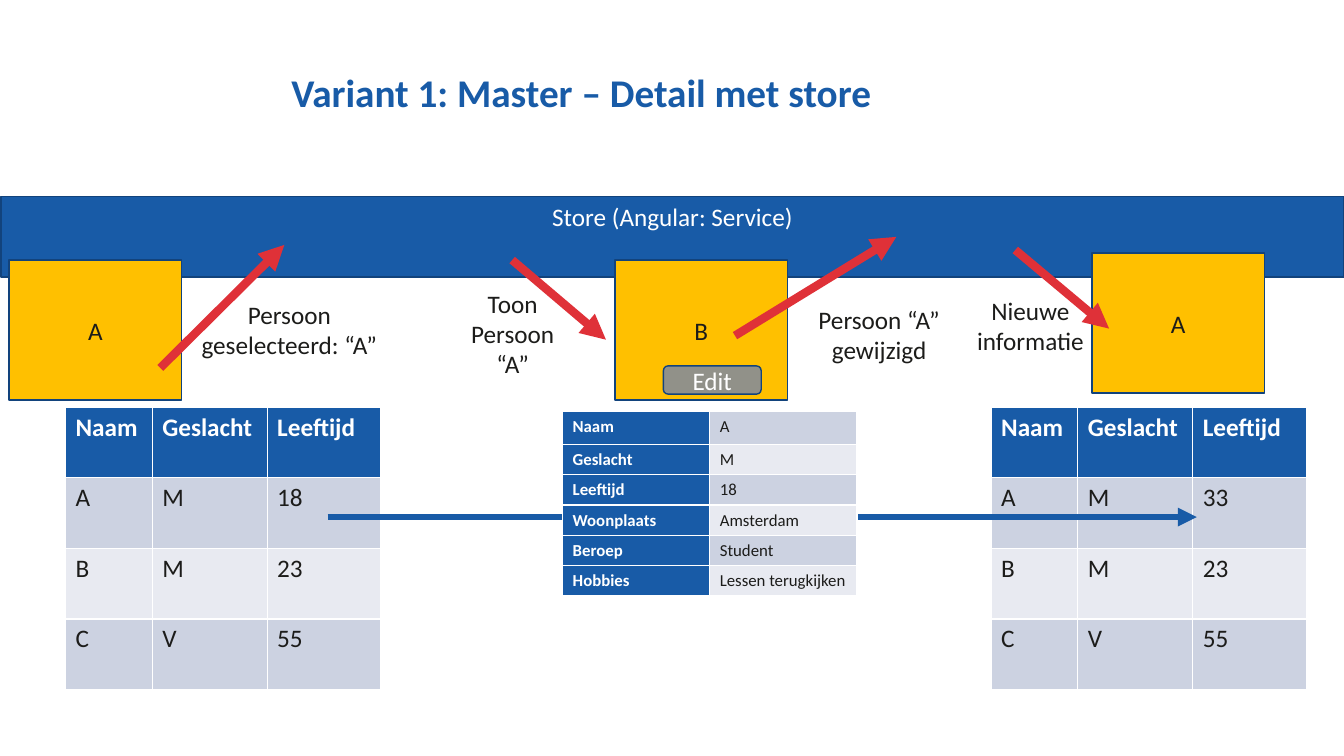
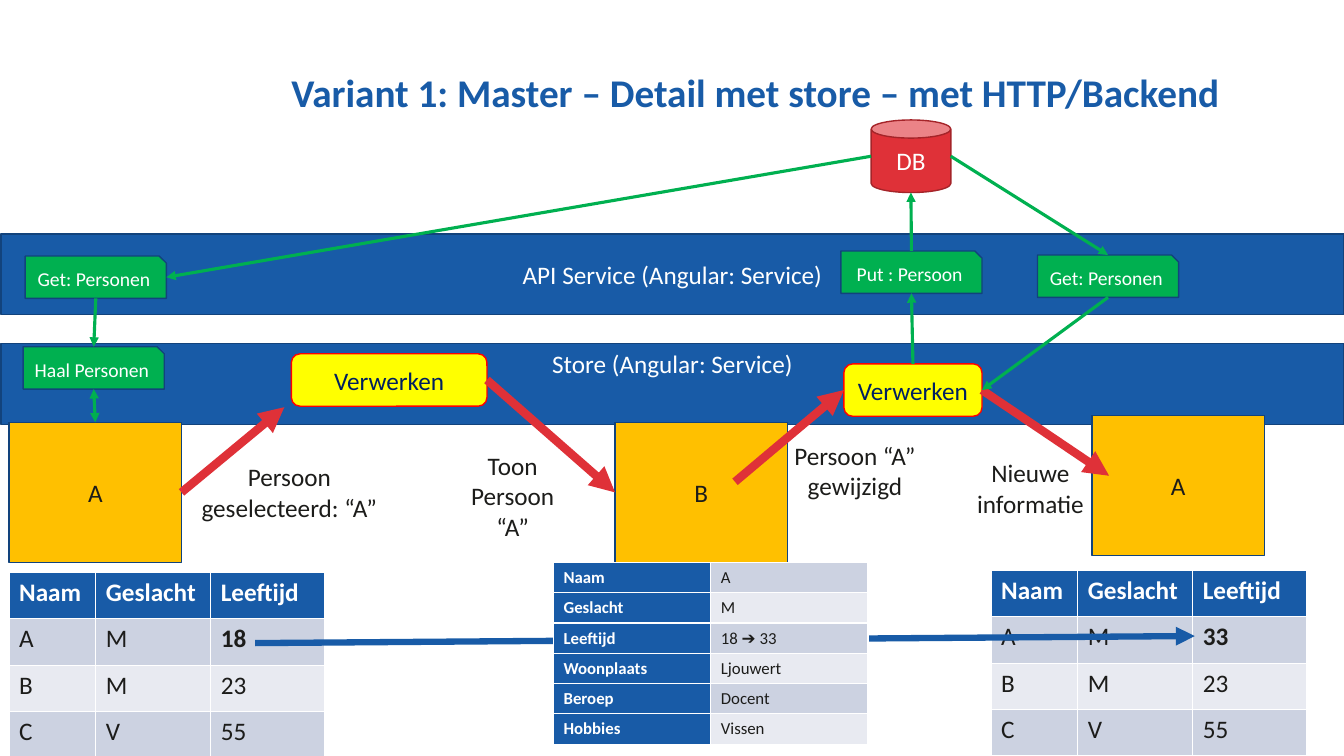
from lxml import etree
from pptx import Presentation
from pptx.dml.color import RGBColor
from pptx.enum.shapes import MSO_CONNECTOR, MSO_SHAPE
from pptx.enum.text import MSO_ANCHOR, MSO_AUTO_SIZE, PP_ALIGN
from pptx.oxml.ns import qn
from pptx.util import Inches, Pt

RECTANGLE, ROUNDED = MSO_SHAPE.RECTANGLE, MSO_SHAPE.ROUNDED_RECTANGLE
SNIPPED, CAN = MSO_SHAPE.SNIP_1_RECTANGLE, MSO_SHAPE.CAN
STRAIGHT = MSO_CONNECTOR.STRAIGHT
TOP_ANCHOR, MIDDLE_ANCHOR = MSO_ANCHOR.TOP, MSO_ANCHOR.MIDDLE
LEFT_ALIGN, CENTER_ALIGN = PP_ALIGN.LEFT, PP_ALIGN.CENTER
NO_AUTOFIT = MSO_AUTO_SIZE.NONE
TOP, LEFT, BOTTOM, RIGHT = range(4)

FONT = "Calibri"
BLUE, NAVY, WHITE, INK = "185BA7", "12437C", "FFFFFF", "1C1C1A"
AMBER, RED, DARK_RED, GREEN = "FFC000", "DF3138", "A52429", "00B050"
GRAY, YELLOW, PURE_RED, MIDNIGHT = "919189", "FFFF00", "FF0000", "002060"
BANDS = ("CCD2E1", "E8EAF1")

SLIDE_WIDTH, SLIDE_HEIGHT = 13.33, 7.5
BAND_HEIGHT = 0.8
COMPONENT_SIZE = (1.71, 1.39)
REQUEST_SIZE = (1.4, 0.42)
PERSON_COLUMNS = (0.86, 1.14, 1.13)
PERSON_HEADER = ("Naam", "Geslacht", "Leeftijd")
DETAIL_FIELDS = ("Naam", "Geslacht", "Leeftijd", "Woonplaats", "Beroep", "Hobbies")


def color(value):
    """Turn a hex string into a colour."""
    return RGBColor.from_string(value)


def add_text(frame, text, size=18, ink=INK, bold=False, align=LEFT_ALIGN):
    """Write one formatted run into the first paragraph of a text frame."""
    paragraph = frame.paragraphs[0]
    paragraph.alignment = align
    run = paragraph.add_run()
    run.text = text
    run.font.name, run.font.size, run.font.bold = FONT, Pt(size), bold
    run.font.color.rgb = color(ink)
    return paragraph


def add_box(slide, kind, box, text, fill, ink=WHITE, outline=NAVY, size=18,
            anchor=MIDDLE_ANCHOR):
    """Add a filled and outlined shape with centred text."""
    shape = slide.shapes.add_shape(kind, *map(Inches, box))
    shape.shadow.inherit = False
    shape.fill.solid()
    shape.fill.fore_color.rgb = color(fill)
    shape.line.color.rgb = color(outline)
    shape.line.width = Pt(1)
    shape.text_frame.word_wrap = True
    shape.text_frame.vertical_anchor = anchor
    add_text(shape.text_frame, text, size, ink, align=CENTER_ALIGN)
    return shape


def add_label(slide, box, text):
    """Add a centred, wrapping caption."""
    frame = slide.shapes.add_textbox(*map(Inches, box)).text_frame
    frame.word_wrap = True
    add_text(frame, text, align=CENTER_ALIGN)


def side_point(shape, side):
    """Return the middle of one side of a shape."""
    across = {LEFT: 0, RIGHT: 1}.get(side, 0.5)
    down = {TOP: 0, BOTTOM: 1}.get(side, 0.5)
    return (int(shape.left + across * shape.width),
            int(shape.top + down * shape.height))


def end_point(end):
    """Resolve a point in inches or a (shape, side) pair to a position."""
    if isinstance(end[0], (int, float)):
        return tuple(map(Inches, end))
    return side_point(*end)


def can_join(end):
    """Tell whether an arrow end sits on a side of a rectangle."""
    return (not isinstance(end[0], (int, float))
            and end[0].auto_shape_type in (RECTANGLE, ROUNDED))


def add_arrow(slide, start, end, ink, width, both_ends=False):
    """Draw an arrow between points or sides of shapes."""
    connector = slide.shapes.add_connector(
        STRAIGHT, *end_point(start), *end_point(end))
    if can_join(start):
        connector.begin_connect(*start)
    if can_join(end):
        connector.end_connect(*end)
    connector.line.color.rgb = color(ink)
    connector.line.width = Pt(width)
    properties = connector.element.spPr
    line = properties.find(qn("a:ln"))
    for tag in ("a:headEnd", "a:tailEnd") if both_ends else ("a:tailEnd",):
        etree.SubElement(line, qn(tag), type="triangle")
    etree.SubElement(properties, qn("a:effectLst"))


def add_grid(slide, origin, columns, heights, rows, size, header_row, bold_cells=()):
    """Add a table with a blue header row or header column."""
    box = (*origin, sum(columns), sum(heights))
    table = slide.shapes.add_table(
        len(rows), len(columns), *map(Inches, box)).table
    table.first_row, table.first_col = header_row, not header_row
    for column, width in zip(table.columns, columns):
        column.width = Inches(width)
    for index, (height, values) in enumerate(zip(heights, rows)):
        table.rows[index].height = Inches(height)
        for position, value in enumerate(values):
            header = index == 0 if header_row else position == 0
            cell = table.cell(index, position)
            cell.fill.solid()
            band = BANDS[(index - header_row) % 2]
            cell.fill.fore_color.rgb = color(BLUE if header else band)
            add_text(cell.text_frame, value, size, WHITE if header else INK,
                     header or (index, position) in bold_cells)


def add_person_table(slide, origin, row_height, age, bold_age=False):
    """Add the master list, with the given age for person A."""
    rows = (PERSON_HEADER, ("A", "M", age), ("B", "M", "23"), ("C", "V", "55"))
    add_grid(slide, origin, PERSON_COLUMNS, [row_height] * len(rows), rows, 18,
             True, {(1, 2)} if bold_age else ())


def add_detail_table(slide, origin, column_width, first_height, values):
    """Add the field and value list of one person."""
    heights = [first_height] + [0.3] * (len(values) - 1)
    add_grid(slide, origin, [column_width] * 2, heights,
             list(zip(DETAIL_FIELDS, values)), 12, False)


def add_band(slide, top, text, anchor=MIDDLE_ANCHOR):
    """Add a service layer across the slide."""
    add_box(slide, RECTANGLE, (0.01, top, SLIDE_WIDTH - 0.01, BAND_HEIGHT), text,
            BLUE, anchor=anchor)


def add_components(slide, top, changed_offset):
    """Add the three components and their captions below the given top."""
    places = ((0.09, 0, "A"), (6.1, 0, "B"), (10.83, -0.07, "A"))
    components = [
        add_box(slide, RECTANGLE, (left, top + drop, *COMPONENT_SIZE), name, AMBER, INK)
        for left, drop, name in places]
    changed_left, changed_drop = changed_offset
    captions = (
        (1.88, 0.34, 1.98, 0.71, "Persoon geselecteerd: “A”"),
        (4.47, 0.23, 1.23, 1.01, "Toon Persoon “A”"),
        (changed_left, changed_drop, 1.5, 0.71, "Persoon “A” gewijzigd"),
        (9.47, 0.3, 1.5, 0.71, "Nieuwe informatie"))
    for left, drop, width, height, text in captions:
        add_label(slide, (left, top + drop, width, height), text)
    return components


def add_api_layer(slide, top):
    """Add the API band, its requests and the database above it."""
    add_band(slide, top, "API Service (Angular: Service)")
    database = add_box(slide, CAN, (8.64, top - 1.13, 0.79, 0.72), "DB", RED,
                       outline=DARK_RED)
    places = ((0.25, 0.22, "Get: Personen"), (8.34, 0.17, "Put : Persoon"),
              (10.29, 0.21, "Get: Personen"))
    first_get, put, second_get = [
        add_request(slide, left, top + drop, text) for left, drop, text in places]
    for start, end in (((database, LEFT), (first_get, RIGHT)),
                       ((put, TOP), (database, BOTTOM)),
                       ((database, RIGHT), (second_get, TOP))):
        add_arrow(slide, start, end, GREEN, 2.25)
    return first_get, put, second_get


def add_request(slide, left, top, text):
    """Add a green request tag."""
    return add_box(slide, SNIPPED, (left, top, *REQUEST_SIZE), text, GREEN, size=14)


def add_titled_slide(presentation, text):
    """Add a slide with the shared title style."""
    slide = presentation.slides.add_slide(presentation.slide_layouts[5])
    title = slide.shapes.title
    title.left, title.top, title.width, title.height = map(
        Inches, (2.89, 0.75, 9.39, 0.38))
    frame = title.text_frame
    frame.margin_left = frame.margin_top = frame.margin_right = frame.margin_bottom = 0
    frame.vertical_anchor = MIDDLE_ANCHOR
    frame.word_wrap = True
    frame.auto_size = NO_AUTOFIT
    add_text(frame, text, 28, BLUE, True).line_spacing = 0.9
    return slide


def build_store_slide(presentation):
    """Build the variant with only a store."""
    slide = add_titled_slide(presentation, "Variant 1: Master – Detail met store")
    add_band(slide, 1.95, "Store (Angular: Service)", TOP_ANCHOR)
    add_components(slide, 2.58, (7.97, 0.39))
    add_person_table(slide, (0.65, 4.04), 0.7, "18")
    add_person_table(slide, (9.83, 4.04), 0.7, "33")
    for start, end in (((1.59, 3.65), (2.82, 2.43)), ((5.08, 2.58), (6.01, 3.37)),
                       ((7.29, 3.33), (8.89, 2.35)), ((10.07, 2.48), (11, 3.26))):
        add_arrow(slide, start, end, RED, 6)
    add_arrow(slide, (3.25, 5.13), (11.87, 5.13), BLUE, 4.5)
    add_detail_table(slide, (5.58, 4.08), 1.46, 0.33,
                     ("A", "M", "18", "Amsterdam", "Student", "Lessen terugkijken"))
    add_box(slide, ROUNDED, (6.58, 3.63, 0.97, 0.28), "Edit", GRAY)


def build_backend_slide(presentation):
    """Build the variant with a store, an API service and a database."""
    slide = add_titled_slide(
        presentation, "Variant 1: Master – Detail met store – met HTTP/Backend")
    add_band(slide, 3.41, "Store (Angular: Service)", TOP_ANCHOR)
    master, detail, _ = add_components(slide, 4.19, (7.73, 0.13))
    add_person_table(slide, (0.09, 5.68), 0.46, "18", True)
    add_person_table(slide, (9.83, 5.66), 0.46, "33", True)
    add_arrow(slide, (2.53, 6.38), (11.85, 6.31), BLUE, 4.5)
    first_get, put, second_get = add_api_layer(slide, 2.32)
    fetch = add_request(slide, 0.23, 3.44, "Haal Personen")
    select, change = [
        add_box(slide, ROUNDED, box, "Verwerken", YELLOW, MIDNIGHT, PURE_RED)
        for box in ((2.89, 3.51, 1.94, 0.52), (8.37, 3.61, 1.37, 0.52))]
    for start, end in (((master, RIGHT), (2.82, 4.04)),
                       ((select, RIGHT), (detail, LEFT)),
                       ((7.29, 4.78), (change, LEFT)),
                       ((change, RIGHT), (11, 4.72))):
        add_arrow(slide, start, end, RED, 6)
    for start, end in (((first_get, BOTTOM), (fetch, TOP)),
                       ((change, TOP), (put, BOTTOM)),
                       ((second_get, BOTTOM), (change, RIGHT))):
        add_arrow(slide, start, end, GREEN, 2.25)
    add_arrow(slide, (master, TOP), (fetch, BOTTOM), GREEN, 2.25, True)
    add_detail_table(slide, (5.49, 5.58), 1.56, 0.3,
                     ("A", "M", "18 ➔ 33", "Ljouwert", "Docent", "Vissen"))


def main():
    """Build and save the presentation."""
    presentation = Presentation()
    presentation.slide_width = Inches(SLIDE_WIDTH)
    presentation.slide_height = Inches(SLIDE_HEIGHT)
    build_store_slide(presentation)
    build_backend_slide(presentation)
    presentation.save("out.pptx")


if __name__ == "__main__":
    main()
